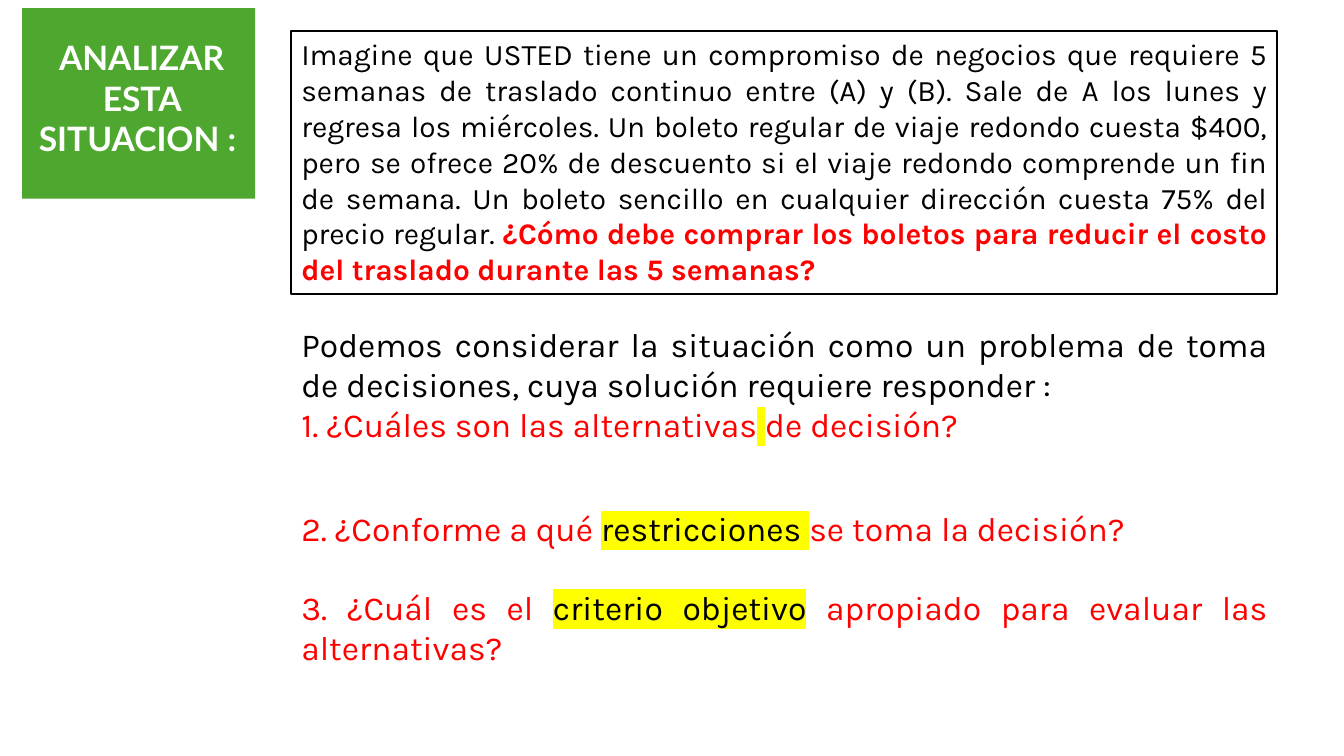
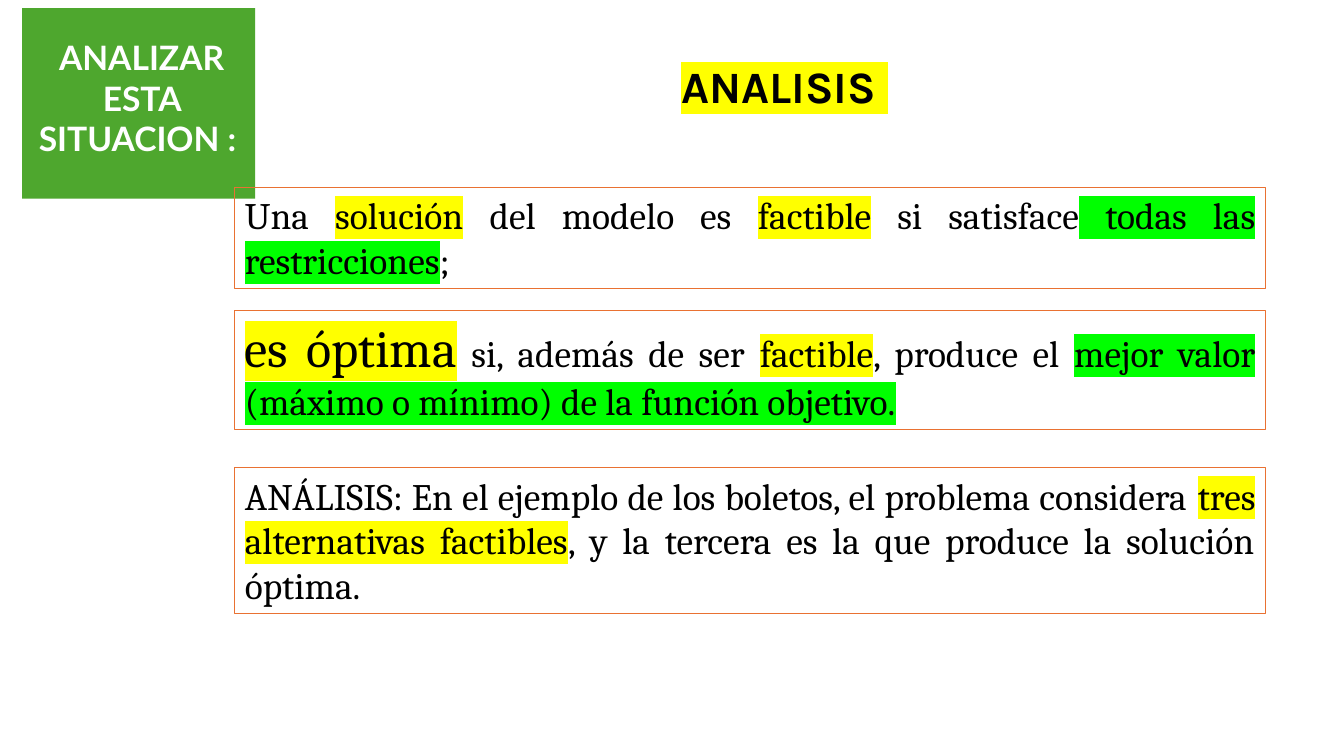
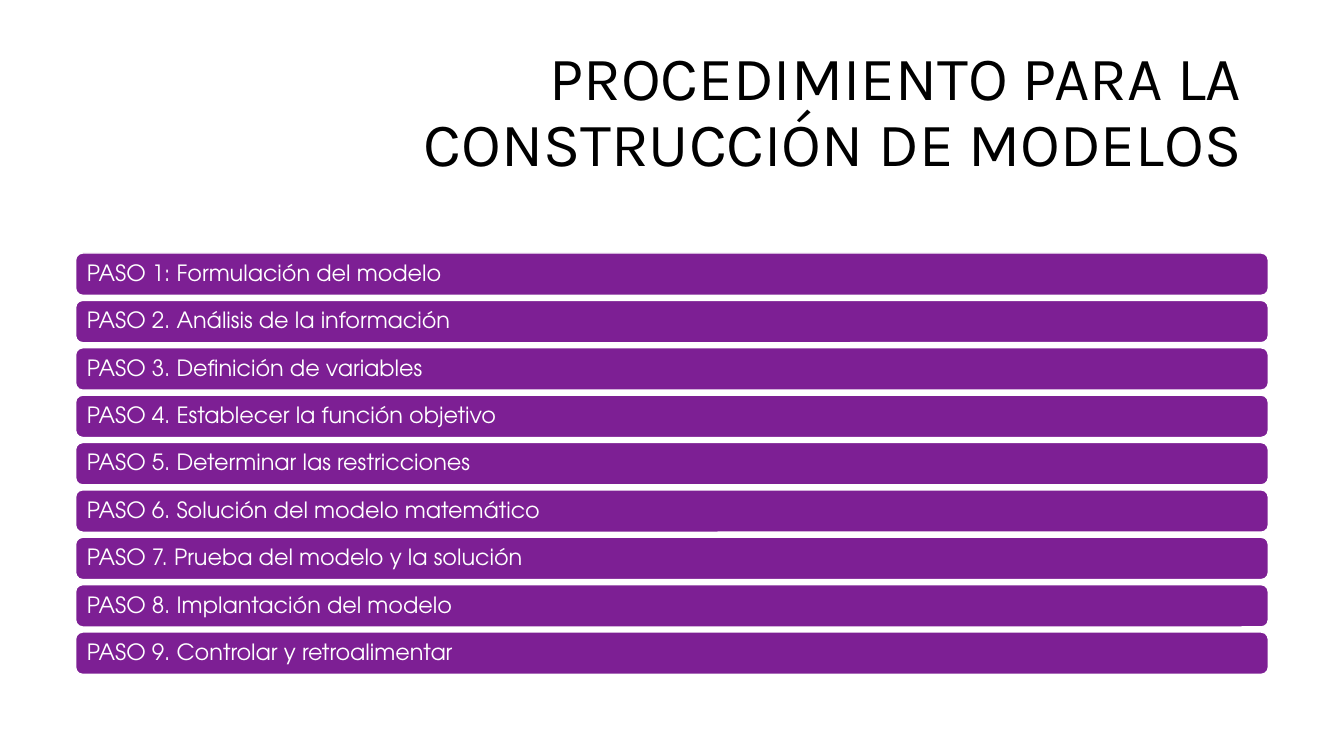
"""Build three slides on decision models and the steps to construct them."""
from dataclasses import dataclass
from typing import Any, Optional

from lxml.etree import SubElement
from pptx import Presentation
from pptx.dml.color import RGBColor
from pptx.enum.shapes import MSO_SHAPE
from pptx.enum.text import MSO_ANCHOR, PP_ALIGN
from pptx.oxml.ns import qn
from pptx.slide import Slide
from pptx.util import Inches, Pt

COLORS = {
    "black": "000000", "white": "FFFFFF", "red": "FF0000", "green": "4EA72E",
    "orange": "E97132", "purple": "7D1F94", "yellow": "FFFF00", "lime": "00FF00",
}
PLAIN_FRAME = {
    "word_wrap": True, "vertical_anchor": MSO_ANCHOR.TOP,
    "margin_left": Inches(0.1), "margin_right": Inches(0.1),
    "margin_top": Inches(0.05), "margin_bottom": Inches(0.05),
}
MIDDLE_FRAME = {**PLAIN_FRAME, "vertical_anchor": MSO_ANCHOR.MIDDLE}
SIDES = ("margin_left", "margin_right", "margin_top", "margin_bottom")
BANNER_FRAME = {**PLAIN_FRAME, **dict.fromkeys(SIDES, 0)}
STEP_FRAME = {**MIDDLE_FRAME, **dict.fromkeys(SIDES, Inches(0.09))}

JUSTIFIED = {"alignment": PP_ALIGN.JUSTIFY}
CENTERED = {"alignment": PP_ALIGN.CENTER}
TITLE_LINES = {"alignment": PP_ALIGN.RIGHT, "line_spacing": 0.9}
STEP_LINES = {"alignment": PP_ALIGN.LEFT, "line_spacing": 0.9}


@dataclass(frozen=True)
class Span:
    """A stretch of text with what differs from its block."""
    text: str
    color: Optional[str] = None
    highlight: Optional[str] = None
    bold: Optional[bool] = None
    size: Optional[float] = None


@dataclass(frozen=True)
class Block:
    """A framed or plain block of text, placed in inches."""
    left: float
    top: float
    width: float
    height: float
    paragraphs: tuple[tuple[Span, ...], ...] = ()
    font: str = "Karla"
    size: float = 24
    color: str = "black"
    fill: Optional[str] = None
    line: Optional[str] = None
    line_width: float = 0.75
    corner: Optional[float] = None
    frame: Any = None
    layout: Any = None


def apply(target: Any, values: dict[str, Any]) -> None:
    """Set each format value on the target."""
    for attribute, value in values.items():
        setattr(target, attribute, value)


def rgb(color: str) -> RGBColor:
    """Look up a named colour."""
    return RGBColor.from_string(COLORS[color])


def write_span(paragraph: Any, span: Span, block: Block) -> None:
    """Add one run in the style of its block."""
    run = paragraph.add_run()
    run.text = span.text
    run.font.color.rgb = rgb(span.color or block.color)
    apply(run.font, {"name": block.font, "size": Pt(span.size or block.size), "bold": span.bold})
    if span.highlight:
        properties = run.font._element
        mark = SubElement(properties, qn("a:highlight"))
        SubElement(mark, qn("a:srgbClr")).set("val", COLORS[span.highlight])
        properties.find(qn("a:solidFill")).addnext(mark)


def draw_block(slide: Slide, block: Block) -> None:
    """Draw a block as a text box, or as a shape when filled or outlined."""
    bounds = [Inches(value) for value in (block.left, block.top, block.width, block.height)]
    if block.fill or block.line:
        preset = MSO_SHAPE.RECTANGLE if block.corner is None else MSO_SHAPE.ROUNDED_RECTANGLE
        box = slide.shapes.add_shape(preset, *bounds)
        box.shadow.inherit = False
        if block.corner is not None:
            box.adjustments[0] = block.corner
        if block.fill:
            box.fill.solid()
            box.fill.fore_color.rgb = rgb(block.fill)
        else:
            box.fill.background()
        if block.line:
            box.line.color.rgb = rgb(block.line)
            box.line.width = Pt(block.line_width)
        else:
            box.line.fill.background()
    else:
        box = slide.shapes.add_textbox(*bounds)
    frame = box.text_frame
    apply(frame, block.frame or PLAIN_FRAME)
    for index, spans in enumerate(block.paragraphs):
        paragraph = frame.add_paragraph() if index else frame.paragraphs[0]
        apply(paragraph, block.layout or JUSTIFIED)
        for span in spans:
            write_span(paragraph, span, block)


BANNER = (
    Block(0.22, 0.08, 2.31, 1.89, fill="green"),
    Block(0.25, 0.37, 2.31, 0.81, ((Span("ANALIZAR ESTA SITUACION : ", bold=True),),),
          font="Lato", color="white", frame=BANNER_FRAME, layout=CENTERED),
)


def question(top: float, height: float, *paragraphs: tuple[Span, ...]) -> Block:
    """Place a question in the right-hand column."""
    return Block(2.89, top, 9.78, height, paragraphs, color="red")


def finding(top: float, height: float, *spans: Span) -> Block:
    """Place an outlined statement of the analysis."""
    return Block(2.33, top, 10.22, height, (spans,), font="Cambria", size=26.7, line="orange")


SITUATION = (
    *BANNER,
    Block(2.89, 0.31, 9.78, 2.61, ((
        Span("Imagine que USTED tiene un compromiso de negocios que requiere 5 semanas de "
             "traslado continuo entre (A) y (B). Sale de A los lunes y regresa los miércoles. "
             "Un boleto regular de viaje redondo cuesta $400, pero se ofrece 20% de descuento "
             "si el viaje redondo comprende un fin de semana. Un boleto sencillo en cualquier "
             "dirección cuesta 75% del precio regular. "),
        Span("¿Cómo debe comprar los boletos para reducir el costo del traslado durante las "
             "5 semanas?", "red", bold=True)),),
        size=21.3, fill="white", line="black", line_width=1.5),
    question(3.16, 1.31,
             (Span("Podemos considerar la situación como un problema de toma de decisiones, "
                   "cuya solución requiere responder :", "black"),),
             (Span("1. ¿Cuáles son las alternativas"), Span(" ", highlight="yellow"),
              Span("de decisión?"))),
    question(4.99, 0.5,
             (Span("2. ¿Conforme a qué "), Span("restricciones", "black", "yellow"),
              Span(" ", highlight="yellow"), Span("se toma la decisión?"))),
    question(5.77, 0.91,
             (Span("3. ¿Cuál es el "), Span("criterio objetivo", "black", "yellow"),
              Span(" apropiado para evaluar las alternativas?"))),
)

ANALYSIS = (
    *BANNER,
    Block(2.89, 0.53, 9.78, 0.64, ((Span("ANALISIS ", highlight="yellow", bold=True),),),
          size=32, layout=CENTERED),
    finding(1.86, 1, Span("Una "), Span("solución", highlight="yellow"),
            Span(" del modelo es "), Span("factible", highlight="yellow"),
            Span(" si satisface"), Span(" todas las restricciones", highlight="lime"),
            Span(";")),
    finding(3.08, 1.18, Span("es óptima", highlight="yellow", size=37.3),
            Span(" si, además de ser "), Span("factible", highlight="yellow"),
            Span(", produce el "),
            Span("mejor valor (máximo o mínimo) de la función objetivo.", highlight="lime")),
    finding(4.64, 1.45,
            Span("ANÁLISIS: En el ejemplo de los boletos, el problema considera "),
            Span("tres alternativas factibles", highlight="yellow"),
            Span(", y la tercera es la que produce la solución óptima.")),
)

STEPS = (
    "PASO 1: Formulación del modelo",
    "PASO 2. Análisis de la información",
    "PASO 3. Definición de variables",
    "PASO 4. Establecer la función objetivo",
    "PASO 5. Determinar las restricciones",
    "PASO 6. Solución del modelo matemático",
    "PASO 7. Prueba del modelo y la solución",
    "PASO 8. Implantación del modelo",
    "PASO 9. Controlar y retroalimentar",
)
STEP_TOP, STEP_PITCH = 2.51, 0.47

PROCEDURE = (
    Block(0.92, 0.4, 11.5, 1.45, ((Span("PROCEDIMIENTO PARA LA CONSTRUCCIÓN DE MODELOS"),),),
          size=44, frame=MIDDLE_FRAME, layout=TITLE_LINES),
    *(Block(0.75, STEP_TOP + index * STEP_PITCH, 11.83, 0.42, ((Span(step),),),
            font="TeX Gyre Adventor", size=16, color="white", fill="purple", line="white",
            line_width=1, corner=0.17, frame=STEP_FRAME, layout=STEP_LINES)
      for index, step in enumerate(STEPS)),
)


def main() -> None:
    """Draw every slide and save the presentation."""
    presentation = Presentation()
    apply(presentation, {"slide_width": Inches(13.33), "slide_height": Inches(7.5)})
    for blocks in (SITUATION, ANALYSIS, PROCEDURE):
        slide = presentation.slides.add_slide(presentation.slide_layouts[6])
        for block in blocks:
            draw_block(slide, block)
    presentation.save("out.pptx")


if __name__ == "__main__":
    main()
